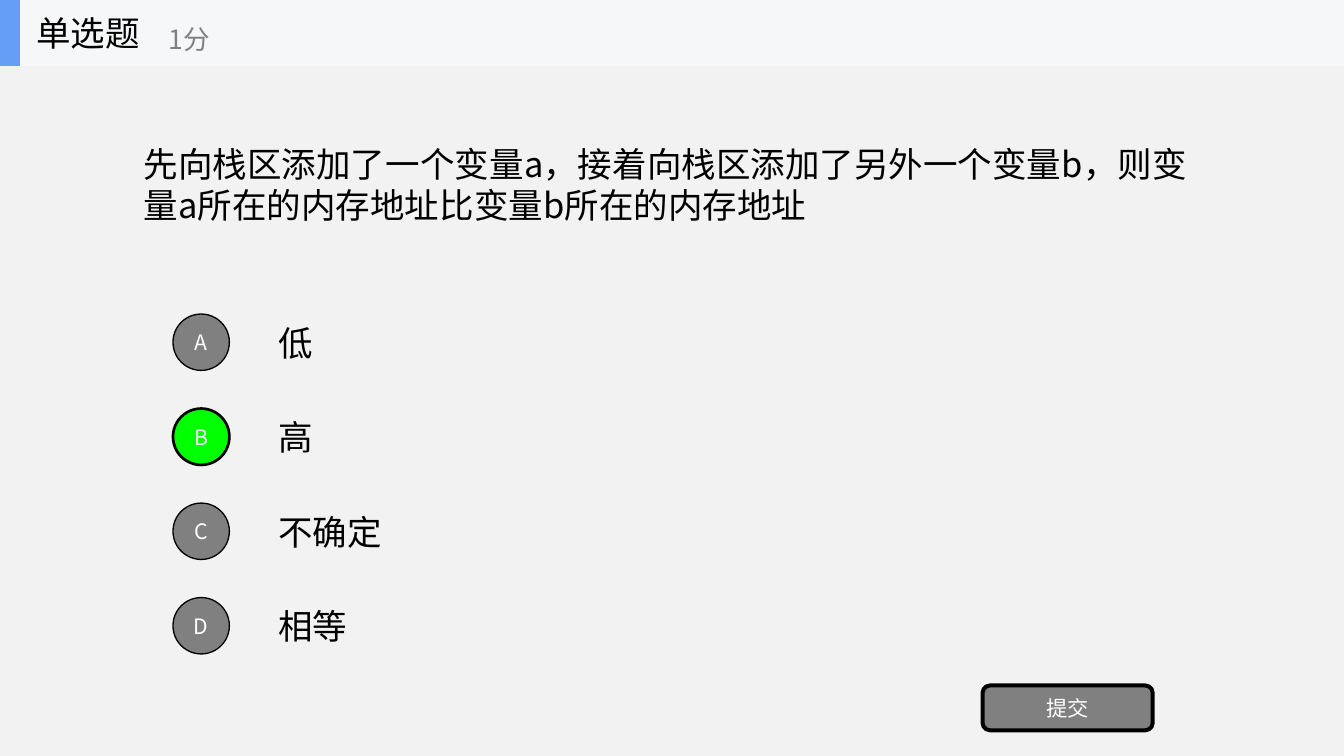
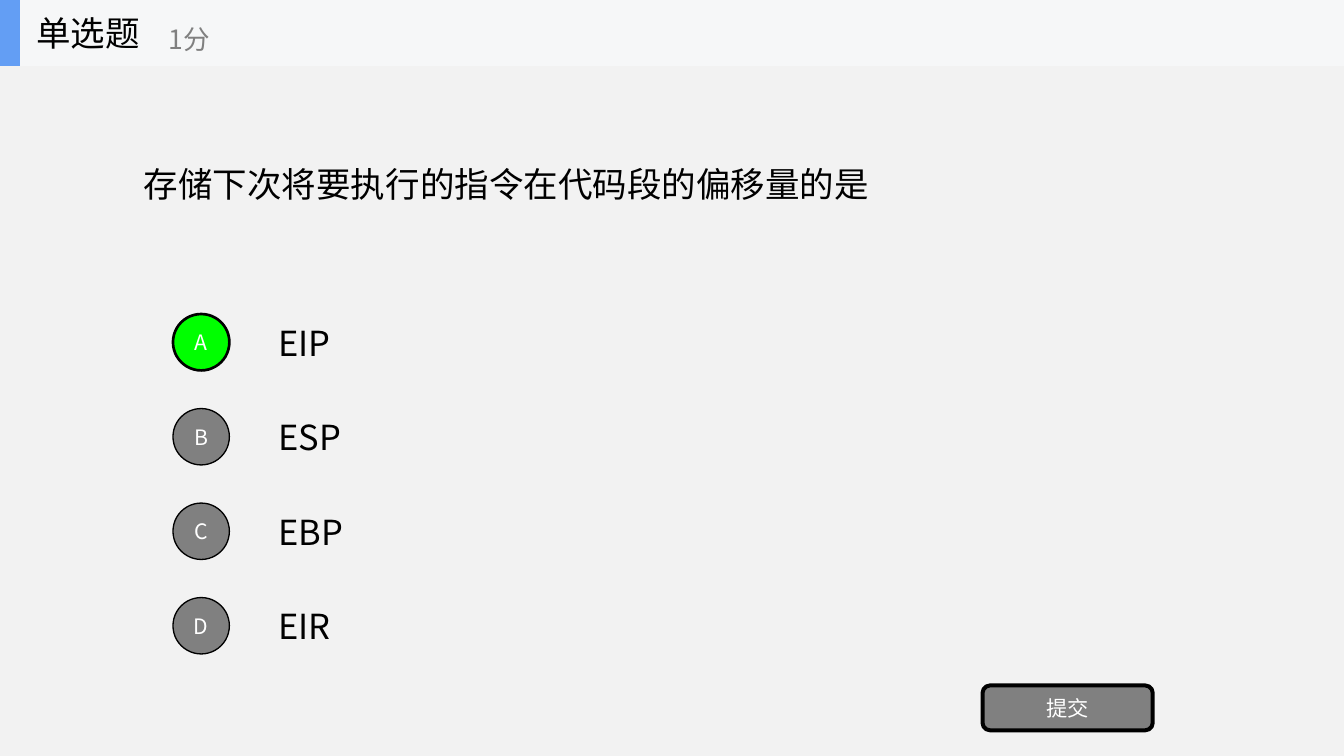
from pptx import Presentation
from pptx.dml.color import RGBColor
from pptx.enum.shapes import MSO_SHAPE
from pptx.enum.text import MSO_ANCHOR, MSO_AUTO_SIZE, PP_ALIGN
from pptx.oxml.ns import qn
from pptx.util import Pt
from lxml import etree

RECT, OVAL, ROUNDED = MSO_SHAPE.RECTANGLE, MSO_SHAPE.OVAL, MSO_SHAPE.ROUNDED_RECTANGLE
LEFT, CENTER = PP_ALIGN.LEFT, PP_ALIGN.CENTER
MIDDLE, NO_FIT = MSO_ANCHOR.MIDDLE, MSO_AUTO_SIZE.NONE

C = {
    "page": "F2F2F2", "band": "F6F7F8", "accent": "639EF4",
    "text": "000000", "muted": "808080", "right": "00FF00", "white": "FFFFFF",
}
FONT = "Noto Sans CJK SC"
SLIDE_W, SLIDE_H = 1012.5, 569.5
TITLE_ONLY = 5

# Boxes are (left, top, width, height) in points
HEADER = (0, 0, SLIDE_W, 49.7)
QUESTION = (101.25, 49.7, 810, 178)
OPTIONS = (130.3, 231.2, 781, 284.8)
SUBMIT = (740.2, 516.4, 128.2, 33.8)

STYLES = {
    "body": {"size": Pt(26), "color": "text", "align": LEFT},
    "points": {"size": Pt(20), "color": "muted", "align": LEFT},
    "button": {"size": Pt(16), "color": "white", "align": CENTER},
}

QUESTIONS = [
    {
        "type": "单选题", "points": "1分", "answer": "B",
        "text": "先向栈区添加了一个变量a，接着向栈区添加了另外一个变量b，"
                "则变量a所在的内存地址比变量b所在的内存地址",
        "options": ["低", "高", "不确定", "相等"],
    },
    {
        "type": "单选题", "points": "1分", "answer": "A",
        "text": "存储下次将要执行的指令在代码段的偏移量的是",
        "options": ["EIP", "ESP", "EBP", "EIR"],
    },
]


def rgb(name):
    return RGBColor.from_string(C[name])


def write(sp, text, style):
    fmt = STYLES[style]
    tf = sp.text_frame
    frame = {"word_wrap": True, "auto_size": NO_FIT, "vertical_anchor": MIDDLE}
    for name, value in frame.items():
        setattr(tf, name, value)
    p = tf.paragraphs[0]
    p.alignment = fmt["align"]
    r = p.add_run()
    r.text = text
    for name, value in {"size": fmt["size"], "name": FONT}.items():
        setattr(r.font, name, value)
    r.font.color.rgb = rgb(fmt["color"])
    # Chinese characters take their font from a:ea
    etree.SubElement(r.font._element, qn("a:ea")).set("typeface", FONT)


def add_text(s, box, text, style):
    write(s.shapes.add_textbox(*map(Pt, box)), text, style)


def add_shape(s, kind, box, fill, line=0):
    sp = s.shapes.add_shape(kind, *map(Pt, box))
    sp.shadow.inherit = False
    sp.fill.solid()
    sp.fill.fore_color.rgb = rgb(fill)
    if line:
        sp.line.color.rgb = rgb("text")
        sp.line.width = Pt(line)
    else:
        sp.line.fill.background()
    return sp


def add_header(s, box, title, points):
    x, y, w, h = box
    add_shape(s, RECT, box, "band")
    add_shape(s, RECT, (x, y, 15, h), "accent")
    sp = s.shapes.title
    place = zip(("left", "top", "width", "height"), (x + 20.2, y, 150, h))
    for name, value in place:
        setattr(sp, name, Pt(value))
    write(sp, title, "body")
    s.shapes._spTree.append(sp._element)  # bring the title in front of the band
    add_text(s, (x + 120.2, y + 8.8, 180, h - 9), points, "points")


def add_options(s, box, options, answer):
    """Stack lettered options in equal rows; the answer's circle is marked."""
    x, y, w, h = box
    pitch = h / len(options)
    row_h, circle, indent = 53.2, 42.5, 72.2
    for i, option in enumerate(options):
        letter = "ABCDEFGH"[i]
        top = y + i * pitch
        fill, line = ("right", 2) if letter == answer else ("muted", 1)
        sp = add_shape(s, OVAL, (x, top + (row_h - circle) / 2, circle, circle), fill, line)
        write(sp, letter, "button")
        add_text(s, (x + indent, top, w - indent, row_h), option, "body")


def add_question_slide(prs, question):
    s = prs.slides.add_slide(prs.slide_layouts[TITLE_ONLY])
    add_header(s, HEADER, question["type"], question["points"])
    add_text(s, QUESTION, question["text"], "body")
    add_options(s, OPTIONS, question["options"], question["answer"])
    write(add_shape(s, ROUNDED, SUBMIT, "muted", 3), "提交", "button")


def main():
    prs = Presentation()
    prs.slide_width, prs.slide_height = Pt(SLIDE_W), Pt(SLIDE_H)
    fill = prs.slide_master.background.fill
    fill.solid()
    fill.fore_color.rgb = rgb("page")
    for question in QUESTIONS:
        add_question_slide(prs, question)
    prs.save("out.pptx")


if __name__ == "__main__":
    main()
